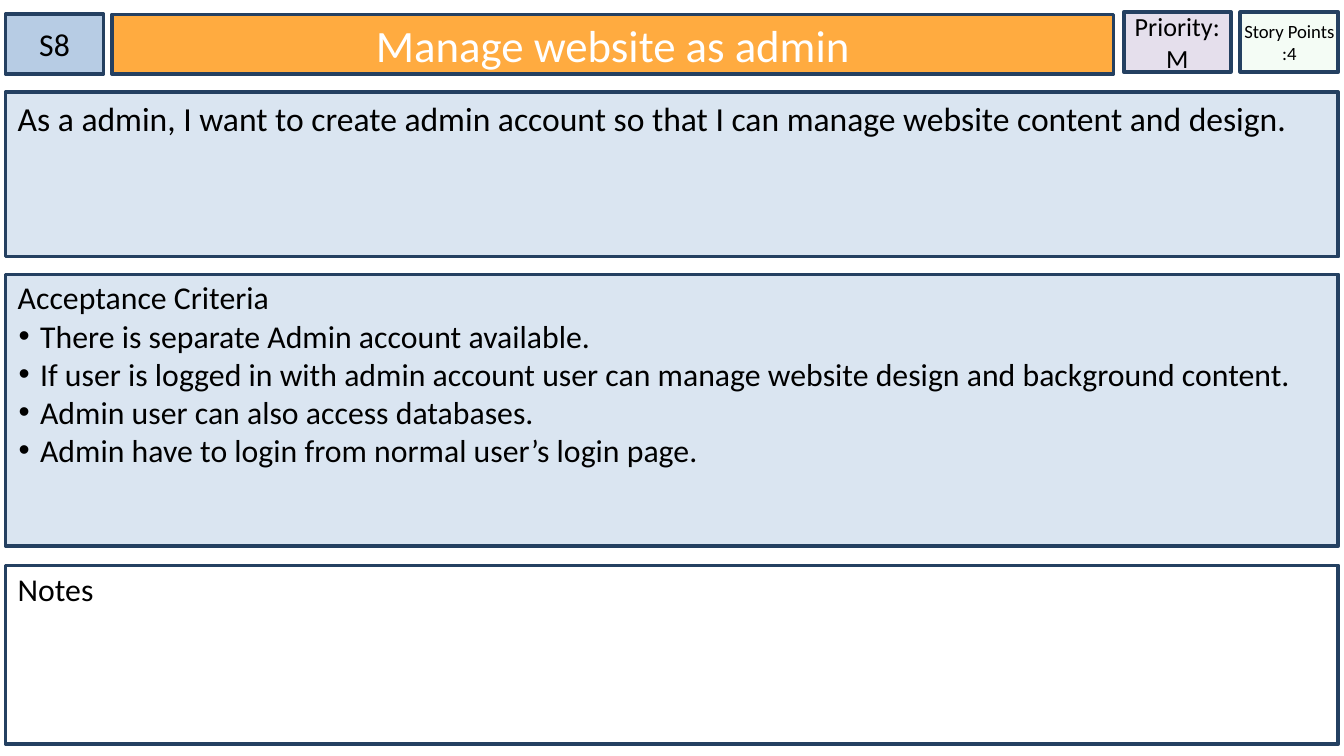
from dataclasses import dataclass

from lxml.etree import SubElement
from pptx import Presentation
from pptx.dml.color import RGBColor
from pptx.enum.shapes import MSO_SHAPE
from pptx.enum.text import MSO_ANCHOR, MSO_AUTO_SIZE, PP_ALIGN
from pptx.oxml.ns import qn
from pptx.util import Pt


@dataclass(frozen=True)
class Theme:
    font: str = "Calibri"
    text: str = "000000"
    title_text: str = "FFFFFF"
    border: str = "244061"
    identifier: str = "B7CCE4"
    title: str = "FFAB40"
    panel: str = "DAE5F1"
    points: str = "CCF0CD"
    priority: str = "E5DFEC"
    notes: str = "FFFFFF"
    title_size: int = 24
    story_size: int = 18
    body_size: int = 17
    priority_size: int = 14
    points_size: int = 10


class StoryCard:
    left = 3
    width = 714
    badge_height = 32

    def __init__(self, slide, theme):
        self.slide = slide
        self.theme = theme

    def rectangle(self, box):
        return self.slide.shapes.add_shape(MSO_SHAPE.RECTANGLE, *map(Pt, box))

    def place(self, shape, box):
        shape.left, shape.top, shape.width, shape.height = map(Pt, box)
        return shape

    def style(self, shape, color, lines, size, side=6.5, top=3, centred=False,
              text_color=None):
        shape.shadow.inherit = False
        shape.fill.solid()
        shape.fill.fore_color.rgb = RGBColor.from_string(color)
        shape.line.color.rgb = RGBColor.from_string(self.theme.border)
        shape.line.width = Pt(2)
        frame = shape.text_frame
        frame.word_wrap = True
        frame.auto_size = MSO_AUTO_SIZE.NONE
        frame.vertical_anchor = MSO_ANCHOR.MIDDLE if centred else MSO_ANCHOR.TOP
        frame.margin_left = frame.margin_right = Pt(side)
        frame.margin_top, frame.margin_bottom = Pt(top), Pt(3)
        frame.text = "\n".join(lines)
        for paragraph in frame.paragraphs:
            paragraph.alignment = PP_ALIGN.CENTER if centred else PP_ALIGN.LEFT
            paragraph.space_before = Pt(0)
            for run in paragraph.runs:
                run.font.name = self.theme.font
                run.font.size = Pt(size)
                run.font.color.rgb = RGBColor.from_string(text_color or self.theme.text)
        return shape

    def badge(self, left, top, width, color, lines, size):
        shape = self.rectangle((left, top, width, self.badge_height))
        return self.style(shape, color, lines, size, side=0, centred=True)

    def title(self, left, top, width, text):
        shape = self.place(self.slide.shapes.title, (left, top, width, self.badge_height))
        self.style(shape, self.theme.title, [text], self.theme.title_size,
                   centred=True, text_color=self.theme.title_text)

    def panel(self, top, height, color, text, size, inset=3):
        shape = self.rectangle((self.left, top, self.width, height))
        self.style(shape, color, [text], size, top=inset)

    def criteria(self, top, height, heading, items):
        shape = self.place(self.slide.placeholders[1], (self.left, top, self.width, height))
        self.style(shape, self.theme.panel, [heading, *items], self.theme.body_size, top=2)
        for index, paragraph in enumerate(shape.text_frame.paragraphs):
            self.bullet(paragraph, index > 0)

    def bullet(self, paragraph, shown):
        properties = paragraph._p.get_or_add_pPr()
        properties.set("marL", str(Pt(12 if shown else 0)))
        properties.set("indent", str(Pt(-11.5 if shown else 0)))
        if not shown:
            SubElement(properties, qn("a:buNone"))
            return
        color = SubElement(properties, qn("a:buClr"))
        SubElement(color, qn("a:srgbClr"), val=self.theme.text)
        SubElement(properties, qn("a:buFont"), typeface="Arial")
        SubElement(properties, qn("a:buChar"), char="•")

    def set_opacity(self, shape, percent):
        color = shape.fill._xPr.find(qn("a:solidFill"))[0]
        SubElement(color, qn("a:alpha"), val=str(percent * 1000))


def main():
    presentation = Presentation()
    presentation.slide_width, presentation.slide_height = Pt(720), Pt(405)
    theme = Theme()
    slide = presentation.slides.add_slide(presentation.slide_layouts[1])
    card = StoryCard(slide, theme)

    card.badge(3, 7.5, 52.5, theme.identifier, ["S8"], theme.body_size)
    card.title(60, 7.75, 536.5, "Manage website as admin")
    card.badge(602, 6.5, 57.5, theme.priority, ["Priority:", "M"], theme.priority_size)
    points = card.badge(664.5, 6.5, 52.5, theme.points, ["Story Points", ":4"],
                        theme.points_size)
    card.set_opacity(points, 20)

    card.panel(49.5, 88, theme.panel,
               "As a admin, I want to create admin account so that "
               "I can manage website content and design.", theme.story_size)
    card.criteria(147, 145.5, "Acceptance Criteria", [
        "There is separate Admin account available.",
        "If user is logged in with admin account user can manage website design "
        "and background content.",
        "Admin user can also access databases.",
        "Admin have to login from normal user’s login page.",
    ])
    card.panel(303, 95.5, theme.notes, "Notes", theme.body_size, inset=2)
    presentation.save("out.pptx")


if __name__ == "__main__":
    main()
